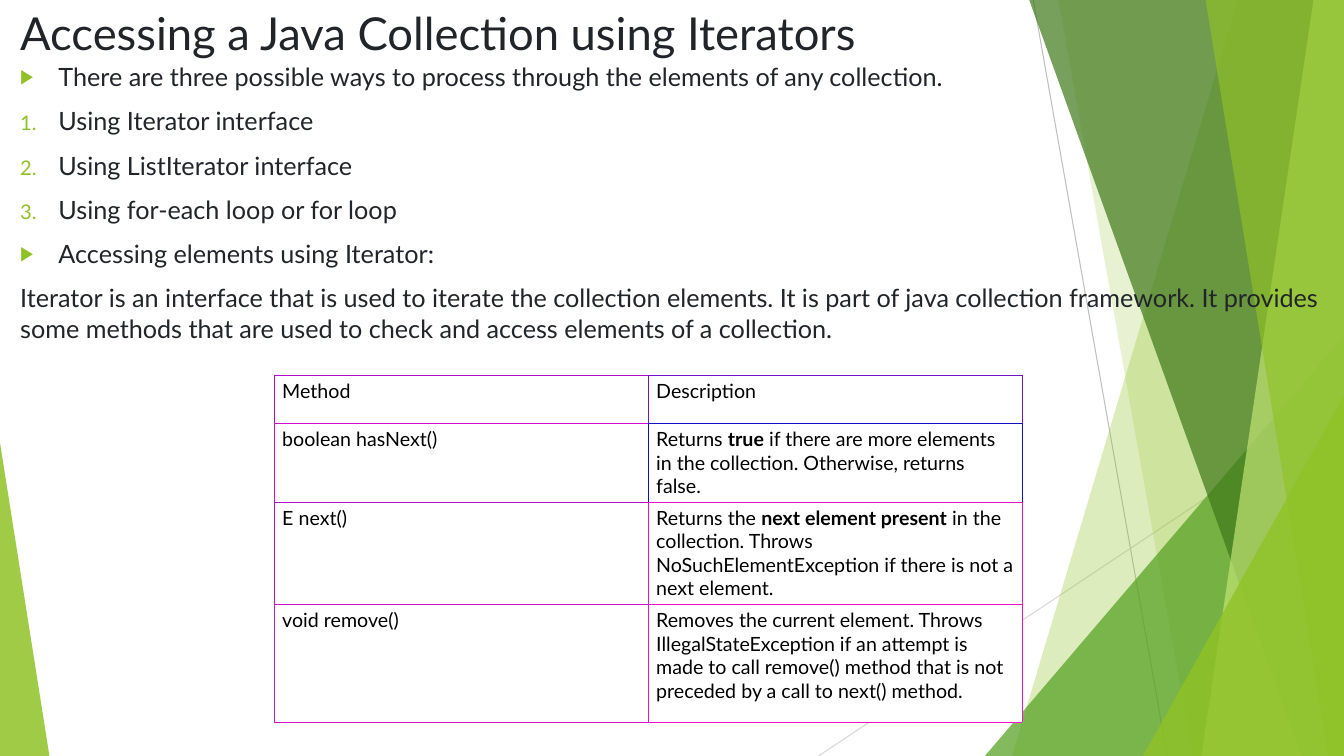
from lxml.etree import SubElement
from pptx import Presentation
from pptx.dml.color import RGBColor
from pptx.enum.shapes import MSO_CONNECTOR as Connector, MSO_SHAPE as Shape
from pptx.enum.text import MSO_ANCHOR as Anchor, MSO_AUTO_SIZE as AutoSize, PP_ALIGN as Align
from pptx.oxml.ns import qn
from pptx.util import Inches, Pt

INK, LIME = "212529", "90C226"


def paint(hex_color):
    return RGBColor.from_string(hex_color)


def write(paragraph, text, size=18, color=INK, font="Lato", before=0):
    paragraph.alignment = Align.LEFT
    paragraph.space_before = Pt(before)
    paragraph.line_spacing = 1.0
    for position, part in enumerate(text.split("**")):
        run = paragraph.add_run()
        run.text = part
        run.font.name = font
        run.font.size = Pt(size)
        run.font.bold = position % 2 == 1
        run.font.color.rgb = paint(color)


class IteratorSlide:
    """Positions and sizes are percentages of the slide's width and height."""

    def __init__(self, deck):
        self.width, self.height = deck.slide_width, deck.slide_height
        self.slide = deck.slides.add_slide(deck.slide_layouts[1])
        self.shapes = self.slide.shapes

    def across(self, percent):
        return round(self.width * percent / 100)

    def down(self, percent):
        return round(self.height * percent / 100)

    def box(self, left, top, width, height):
        return self.across(left), self.down(top), self.across(width), self.down(height)

    def ray(self, start, end, color):
        ray = self.shapes.add_connector(
            Connector.STRAIGHT, self.across(start[0]), self.down(start[1]),
            self.across(end[0]), self.down(end[1]))
        ray.line.color.rgb = paint(color)
        ray.line.width = Pt(0.75)
        SubElement(ray.element.spPr, qn("a:effectLst"))

    def tint(self, facet, color, opacity):
        facet.shadow.inherit = False
        facet.line.fill.background()
        facet.fill.solid()
        facet.fill.fore_color.rgb = paint(color)
        swatch = facet.element.spPr.find(qn("a:solidFill"))[0]
        SubElement(swatch, qn("a:alpha"), val=str(opacity * 1000))

    def shard(self, top_left, bottom_left, color, opacity):
        outline = self.shapes.build_freeform(self.across(top_left), 0)
        outline.add_line_segments([
            (self.width, 0), (self.width, self.height),
            (self.across(bottom_left), self.height)], close=True)
        self.tint(outline.convert_to_shape(), color, opacity)

    def wedge(self, left, top, width, apex, color, opacity):
        wedge = self.shapes.add_shape(
            Shape.ISOSCELES_TRIANGLE, *self.box(left, top, width, 100 - top))
        wedge.adjustments[0] = apex
        self.tint(wedge, color, opacity)

    def place(self, holder, *area):
        holder.left, holder.top, holder.width, holder.height = self.box(*area)
        self.shapes.element.append(holder.element)
        frame = holder.text_frame
        frame.word_wrap = True
        frame.auto_size = AutoSize.NONE
        frame.vertical_anchor = Anchor.TOP
        return frame

    def title(self, text, *area):
        frame = self.place(self.shapes.title, *area)
        write(frame.paragraphs[0], text, size=32.4)

    def body(self, entries, *area):
        frame = self.place(self.slide.placeholders[1], *area)
        for position, (marker, text) in enumerate(entries):
            paragraph = frame.add_paragraph() if position else frame.paragraphs[0]
            write(paragraph, text, before=10)
            self.bullet(paragraph, marker)

    def bullet(self, paragraph, marker):
        props = paragraph.element.get_or_add_pPr() if hasattr(paragraph, "element") else paragraph._p.get_or_add_pPr()
        indent = Inches(0.38) if marker else 0
        props.set("marL", str(indent))
        props.set("indent", str(-indent))
        if not marker:
            SubElement(props, qn("a:buNone"))
            return
        SubElement(SubElement(props, qn("a:buClr")), qn("a:srgbClr"), val=LIME)
        SubElement(props, qn("a:buSzPct"), val="80000")
        if marker == "1.":
            SubElement(props, qn("a:buFont"), typeface="Lato")
            SubElement(props, qn("a:buAutoNum"), type="arabicPeriod")
        else:
            SubElement(props, qn("a:buFont"), typeface="Arial")
            SubElement(props, qn("a:buChar"), char=marker)

    def methods(self, rows, heights, edges, *area):
        table = self.shapes.add_table(len(rows), len(rows[0]), *self.box(*area)).table
        table.first_row = table.horz_banding = False
        for row, height in zip(table.rows, heights):
            row.height = self.down(height)
        for r, texts in enumerate(rows):
            for c, text in enumerate(texts):
                cell = table.cell(r, c)
                cell.margin_left = cell.margin_right = Inches(0.08)
                cell.margin_top = cell.margin_bottom = Inches(0.04)
                write(cell.text_frame.paragraphs[0], text, size=14, color="000000")
                own = edges[r][c]
                right = edges[r][min(c + 1, len(texts) - 1)]
                below = edges[min(r + 1, len(rows) - 1)][c]
                self.borders(cell, L=own, R=right, T=own, B=below)
                cell.fill.solid()
                cell.fill.fore_color.rgb = paint("FFFFFF")

    def borders(self, cell, **sides):
        props = cell._tc.get_or_add_tcPr()
        for side, color in sides.items():
            edge = SubElement(props, qn(f"a:ln{side}"), w=str(Pt(0.6)))
            SubElement(SubElement(edge, qn("a:solidFill")), qn("a:srgbClr"), val=color)


def main():
    deck = Presentation()
    deck.slide_width, deck.slide_height = Inches(13.33), Inches(7.5)
    page = IteratorSlide(deck)

    page.ray((76.88, 0), (86.85, 100), "BFBFBF")
    page.ray((100, 53.73), (60.9, 100), "D9D9D9")
    page.shard(92.1, 75.3, LIME, 30)
    page.shard(78.75, 88.73, LIME, 20)
    page.wedge(73.28, 44.4, 26.72, 1, "54A021", 72)
    page.shard(76.58, 96.83, "3F7819", 70)
    page.shard(97.73, 89.4, "C0E474", 70)
    page.shard(89.7, 98.85, LIME, 65)
    page.wedge(85.05, 52.4, 14.95, 1, LIME, 80)
    page.wedge(0, 58.53, 3.68, 0, LIME, 85)

    page.title("Accessing a Java Collection using Iterators", 0.75, 0, 75.3, 7.47)
    page.body([
        ("▶", "There are three possible ways to process through the elements of any collection."),
        ("1.", "Using Iterator interface"),
        ("1.", "Using ListIterator interface"),
        ("1.", "Using for-each loop or for loop"),
        ("▶", "Accessing elements using Iterator:"),
        ("", "Iterator is an interface that is used to iterate the collection elements. "
             "It is part of java collection framework. It provides some methods that are "
             "used to check and access elements of a collection."),
    ], 0.75, 7.47, 99.25, 92.53)

    page.methods([
        ("Method", "Description"),
        ("boolean hasNext()", "Returns **true** if there are more elements in the "
                              "collection. Otherwise, returns false."),
        ("E next()", "Returns the **next element present** in the collection. Throws "
                     "NoSuchElementException if there is not a next element."),
        ("void remove()", "Removes the current element. Throws IllegalStateException if an "
                          "attempt is made to call remove() method that is not preceded by "
                          "a call to next() method."),
    ], (6.4, 9.2, 11.6, 15.6), [
        ("B00DCA", "7013CA"), ("D00ECA", "1010CA"),
        ("B014CA", "F00ECA"), ("D012CA", "F00FCA"),
    ], 20.4, 49.6, 55.65, 42.8)

    deck.save("out.pptx")


if __name__ == "__main__":
    main()
